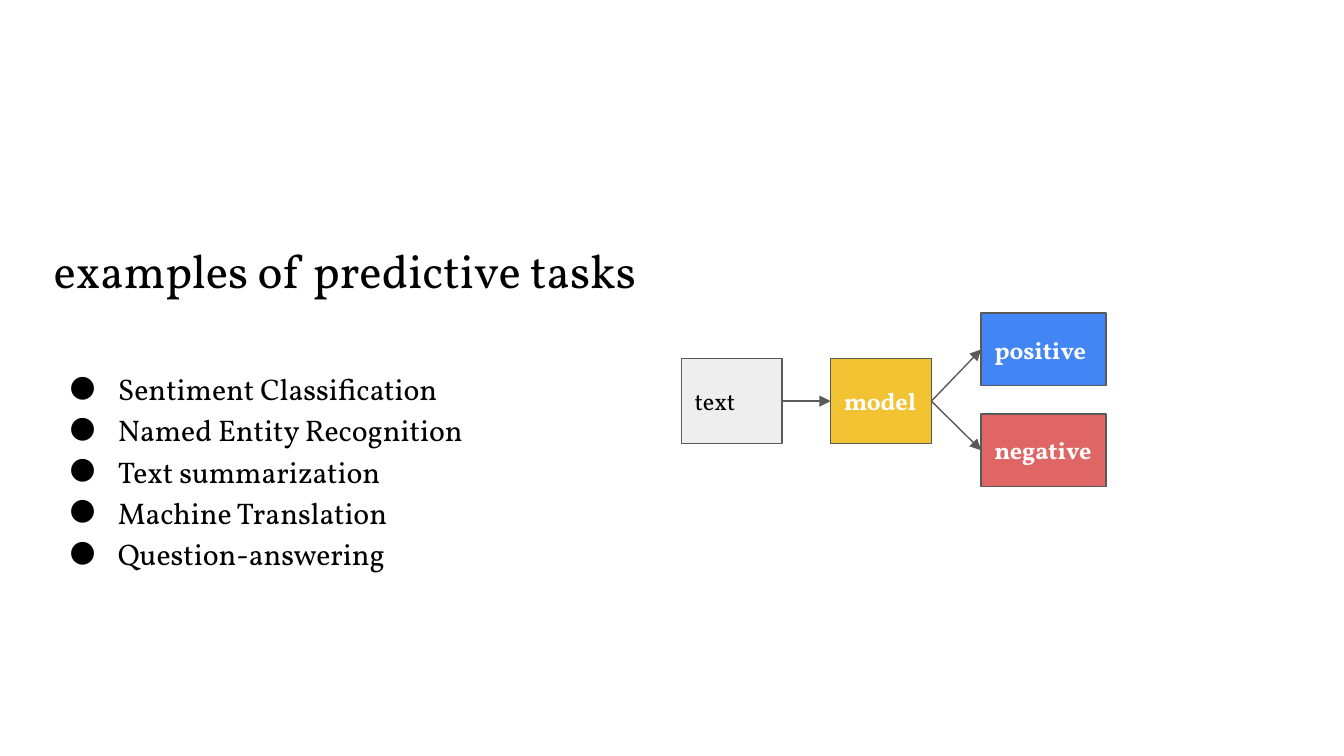
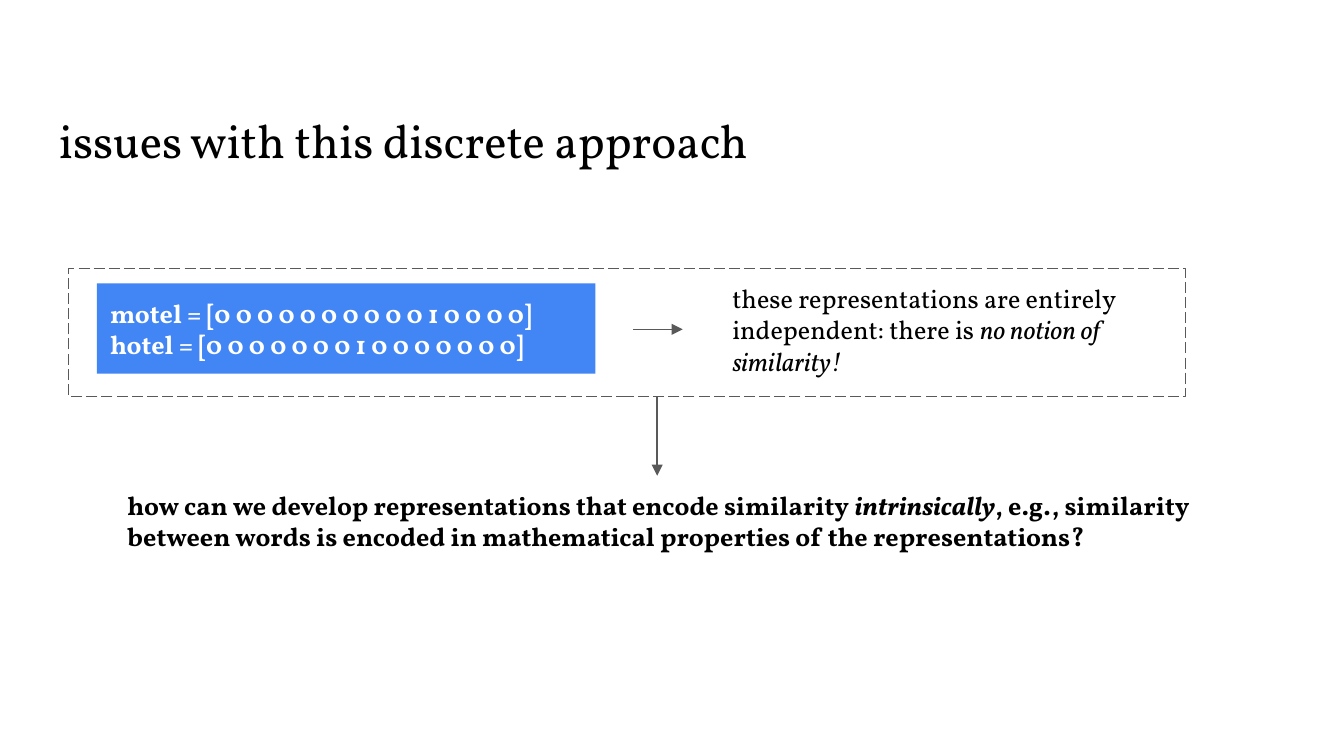
import pptx
import pptx.dml.color
import pptx.enum.dml
import pptx.enum.shapes
import pptx.enum.text
import pptx.oxml
import pptx.oxml.ns
import pptx.util

Inches = pptx.util.Inches
ANCHOR = pptx.enum.text.MSO_ANCHOR
FONT = "Vollkorn"
BLACK, WHITE, GRAY = "000000", "FFFFFF", "595959"
LIGHT, YELLOW, BLUE, RED = "EEEEEE", "F1C232", "4285F4", "E06666"
LEFT_SITE, RIGHT_SITE = 1, 3
TASK_SIZE = 16

TASKS = [
    "Sentiment Classification",
    "Named Entity Recognition",
    "Text summarization",
    "Machine Translation",
    "Question-answering",
]
FLOW_BOXES = {
    "text": (5.07, 2.67, 0.75, 0.63, LIGHT, BLACK, False),
    "model": (6.18, 2.67, 0.75, 0.63, YELLOW, WHITE, True),
    "positive": (7.3, 2.33, 0.93, 0.54, BLUE, WHITE, True),
    "negative": (7.3, 3.08, 0.93, 0.54, RED, WHITE, True),
}
FLOW_ARROWS = [("text", "model"), ("model", "positive"), ("model", "negative")]

ITALIC = {"italic": True}
STATEMENTS = [
    ((0.72, 2.11, 3.71, 0.67), BLUE, {"color": WHITE, "bold": True}, [
        [("motel = [0 0 0 0 0 0 0 0 0 0 1 0 0 0 0]", {})],
        [("hotel = [0 0 0 0 0 0 0 1 0 0 0 0 0 0 0]", {})],
    ]),
    ((5.35, 2, 3.71, 0.91), WHITE, {}, [
        [("these representations are entirely independent: there is ", {}),
         ("no notion of similarity!", ITALIC)],
    ]),
    ((0.85, 3.54, 8.42, 0.67), WHITE, {"bold": True}, [
        [("how can we develop representations that encode similarity ", {}),
         ("intrinsically", ITALIC),
         (", e.g., similarity between words is encoded in mathematical "
          "properties of the representations?", {})],
    ]),
]
ISSUE_ARROWS = [(4.71, 2.45, 5.08, 2.45), (4.89, 2.95, 4.89, 3.54)]
FRAME = (0.51, 2, 8.31, 0.95)


def rgb(color):
    return pptx.dml.color.RGBColor.from_string(color)


def add_xml(parent, tag, **attributes):
    child = pptx.oxml.parse_xml(f"<a:{tag} {pptx.oxml.ns.nsdecls('a')}/>")
    for name, value in attributes.items():
        child.set(name, value)
    parent.append(child)
    return child


def write(shape, paragraphs, size, color=BLACK, anchor=ANCHOR.TOP, **style):
    frame = shape.text_frame
    settings = {"word_wrap": True, "vertical_anchor": anchor}
    for side in ("left", "top", "right", "bottom"):
        settings[f"margin_{side}"] = Inches(0.1)
    for name, value in settings.items():
        setattr(frame, name, value)
    for index, spans in enumerate(paragraphs):
        para = frame.add_paragraph() if index else frame.paragraphs[0]
        para.alignment = pptx.enum.text.PP_ALIGN.LEFT
        for text, extra in spans:
            span = para.add_run()
            span.text = text
            span.font.color.rgb = rgb(color)
            font = {"name": FONT, "size": pptx.util.Pt(size), **style, **extra}
            for name, value in font.items():
                setattr(span.font, name, value)


def add_text(page, place, paragraphs, size):
    box = page.shapes.add_textbox(*map(Inches, place))
    write(box, paragraphs, size)
    return box


def add_title(page, left, top, title):
    add_text(page, (left, top, 9.32, 0.63), [[(title, {})]], 25.2)


def outline(shape):
    shape.line.color.rgb = rgb(GRAY)
    shape.line.width = pptx.util.Pt(0.75)


def add_box(page, place, fill=None, outlined=True):
    box = page.shapes.add_shape(
        pptx.enum.shapes.MSO_SHAPE.RECTANGLE, *map(Inches, place))
    box.shadow.inherit = False
    if fill:
        box.fill.solid()
        box.fill.fore_color.rgb = rgb(fill)
    else:
        box.fill.background()
    if outlined:
        outline(box)
    else:
        box.line.fill.background()
    return box


def add_arrow(page, *ends):
    arrow = page.shapes.add_connector(
        pptx.enum.shapes.MSO_CONNECTOR.STRAIGHT, *map(Inches, ends))
    outline(arrow)
    add_xml(arrow.line._get_or_add_ln(), "tailEnd", type="triangle")
    add_xml(arrow._element.spPr, "effectLst")
    return arrow


def add_bullets(box):
    for para in box.text_frame.paragraphs:
        para.line_spacing = 1.15
        properties = para._p.get_or_add_pPr()
        properties.set("marL", str(Inches(0.5)))
        properties.set("indent", str(Inches(-0.36)))
        add_xml(add_xml(properties, "buClr"), "srgbClr", val=BLACK)
        add_xml(properties, "buSzPts", val=str(TASK_SIZE * 100))
        add_xml(properties, "buFont", typeface=FONT)
        add_xml(properties, "buChar", char="●")


def build_tasks(page):
    add_title(page, 0.3, 1.7, "examples of predictive tasks")
    add_bullets(add_text(page, (0.28, 2.62, 4.1, 2.15),
                         [[(task, {})] for task in TASKS], TASK_SIZE))
    boxes = {}
    for label, (*place, fill, color, bold) in FLOW_BOXES.items():
        boxes[label] = add_box(page, place, fill)
        write(boxes[label], [[(label, {})]], 13, color, ANCHOR.MIDDLE, bold=bold)
    for source, target in FLOW_ARROWS:
        arrow = add_arrow(page, 0, 0, 0, 0)
        arrow.begin_connect(boxes[source], RIGHT_SITE)
        arrow.end_connect(boxes[target], LEFT_SITE)


def build_issues(page):
    add_title(page, 0.34, 0.73, "issues with this discrete approach")
    for place, fill, style, paragraphs in STATEMENTS:
        box = add_box(page, place, fill, outlined=False)
        write(box, paragraphs, 14, **style)
        box.text_frame.auto_size = pptx.enum.text.MSO_AUTO_SIZE.SHAPE_TO_FIT_TEXT
    for ends in ISSUE_ARROWS:
        add_arrow(page, *ends)
    frame = add_box(page, FRAME)
    frame.line.dash_style = pptx.enum.dml.MSO_LINE.LONG_DASH


def main():
    deck = pptx.Presentation()
    deck.slide_width = Inches(10)
    deck.slide_height = deck.slide_width * 9 // 16
    for build in (build_tasks, build_issues):
        build(deck.slides.add_slide(deck.slide_layouts[6]))
    deck.save("out.pptx")


if __name__ == "__main__":
    main()
